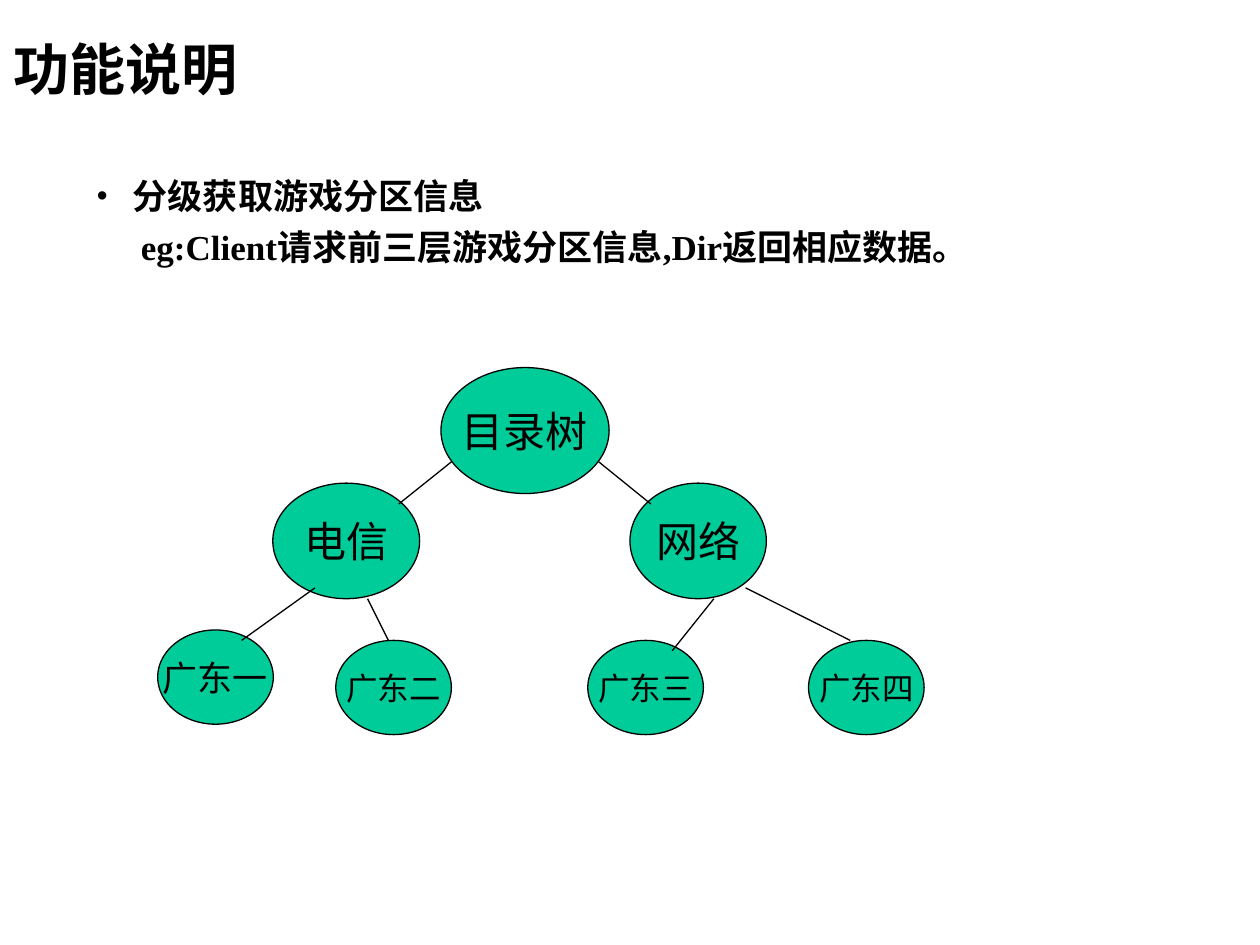
from pptx import Presentation
from pptx.dml.color import RGBColor
from pptx.enum.shapes import MSO_CONNECTOR, MSO_SHAPE
from pptx.enum.text import MSO_ANCHOR, MSO_AUTO_SIZE, PP_ALIGN
from pptx.oxml.ns import qn
from pptx.util import Cm, Pt
from lxml.etree import SubElement

SERIF, SANS = "Times New Roman", "Arial"
BLACK, GREEN = "000000", "00CC99"

# Tree nodes: text, left, top, width, height (cm), size, font
NODES = [
    ("目录树", 8.89, 7.41, 3.39, 2.54, 24, SERIF),
    ("电信", 5.5, 9.74, 2.96, 2.33, 24, SERIF),
    ("网络", 12.7, 9.74, 2.75, 2.33, 24, SERIF),
    ("广东一", 3.18, 12.7, 2.33, 1.9, 20, SERIF),
    ("广东二", 6.77, 12.91, 2.33, 1.9, 18, SANS),
    ("广东三", 11.85, 12.91, 2.33, 1.9, 18, SANS),
    ("广东四", 16.3, 12.91, 2.33, 1.9, 18, SANS),
]

# Branches: x and y of the parent end, then of the child end (cm)
BRANCHES = [
    (9.1, 9.31, 8.04, 10.16),
    (12.07, 9.31, 13.12, 10.16),
    (6.35, 11.85, 4.87, 12.91),
    (7.41, 12.07, 7.83, 12.91),
    (14.39, 12.07, 13.55, 13.12),
    (15.03, 11.85, 17.14, 12.91),
]


def color(value):
    return RGBColor.from_string(value)


def format_text(p, size, font=SERIF, bold=False):
    for r in p.runs:
        r.font.size = Pt(size)
        r.font.name = font
        r.font.bold = bold
        r.font.color.rgb = color(BLACK)


def add_title(s, text):
    sp = s.shapes.title
    sp.left, sp.top, sp.width, sp.height = Cm(0.02), Cm(0.2), Cm(16.7), Cm(2.33)
    tf = sp.text_frame
    tf.text = text
    tf.auto_size = MSO_AUTO_SIZE.NONE
    tf.vertical_anchor = MSO_ANCHOR.MIDDLE
    tf.paragraphs[0].alignment = PP_ALIGN.LEFT
    format_text(tf.paragraphs[0], 32, bold=True)


def add_body(s, point, example):
    tf = s.shapes.add_textbox(Cm(1.69), Cm(3.39), Cm(22), Cm(13.55)).text_frame
    tf.word_wrap = True
    tf.text = point
    tf.add_paragraph().text = example
    for p in tf.paragraphs:
        p.space_before = Pt(5)
        format_text(p, 20, bold=True)

    # Hanging bullet for the point, plain indent for the example
    first, second = (p._p.get_or_add_pPr() for p in tf.paragraphs)
    first.set("marL", str(Cm(0.74)))
    first.set("indent", str(-Cm(0.74)))
    SubElement(first, qn("a:buFont")).set("typeface", SERIF)
    SubElement(first, qn("a:buChar")).set("char", "•")
    second.set("marL", str(Cm(0.9)))


def add_node(s, text, left, top, width, height, size, font):
    sp = s.shapes.add_shape(
        MSO_SHAPE.OVAL, Cm(left), Cm(top), Cm(width), Cm(height))
    sp.shadow.inherit = False
    sp.fill.solid()
    sp.fill.fore_color.rgb = color(GREEN)
    sp.line.color.rgb = color(BLACK)
    sp.line.width = Pt(0.75)
    tf = sp.text_frame
    tf.text = text
    tf.word_wrap = False
    tf.vertical_anchor = MSO_ANCHOR.MIDDLE
    tf.paragraphs[0].alignment = PP_ALIGN.CENTER
    format_text(tf.paragraphs[0], size, font)


def add_branch(s, *ends):
    line = s.shapes.add_connector(MSO_CONNECTOR.STRAIGHT, *map(Cm, ends))
    line.line.color.rgb = color(BLACK)
    line.line.width = Pt(0.75)
    SubElement(line._element.spPr, qn("a:effectLst"))


def main():
    prs = Presentation()
    prs.slide_width, prs.slide_height = Cm(25.4), Cm(19.05)
    s = prs.slides.add_slide(prs.slide_layouts[5])

    # Heading and explanation
    add_title(s, "功能说明")
    add_body(s, "分级获取游戏分区信息",
             "eg:Client请求前三层游戏分区信息,Dir返回相应数据。")

    # Directory tree
    for node in NODES:
        add_node(s, *node)
    for branch in BRANCHES:
        add_branch(s, *branch)

    prs.save("out.pptx")


if __name__ == "__main__":
    main()
